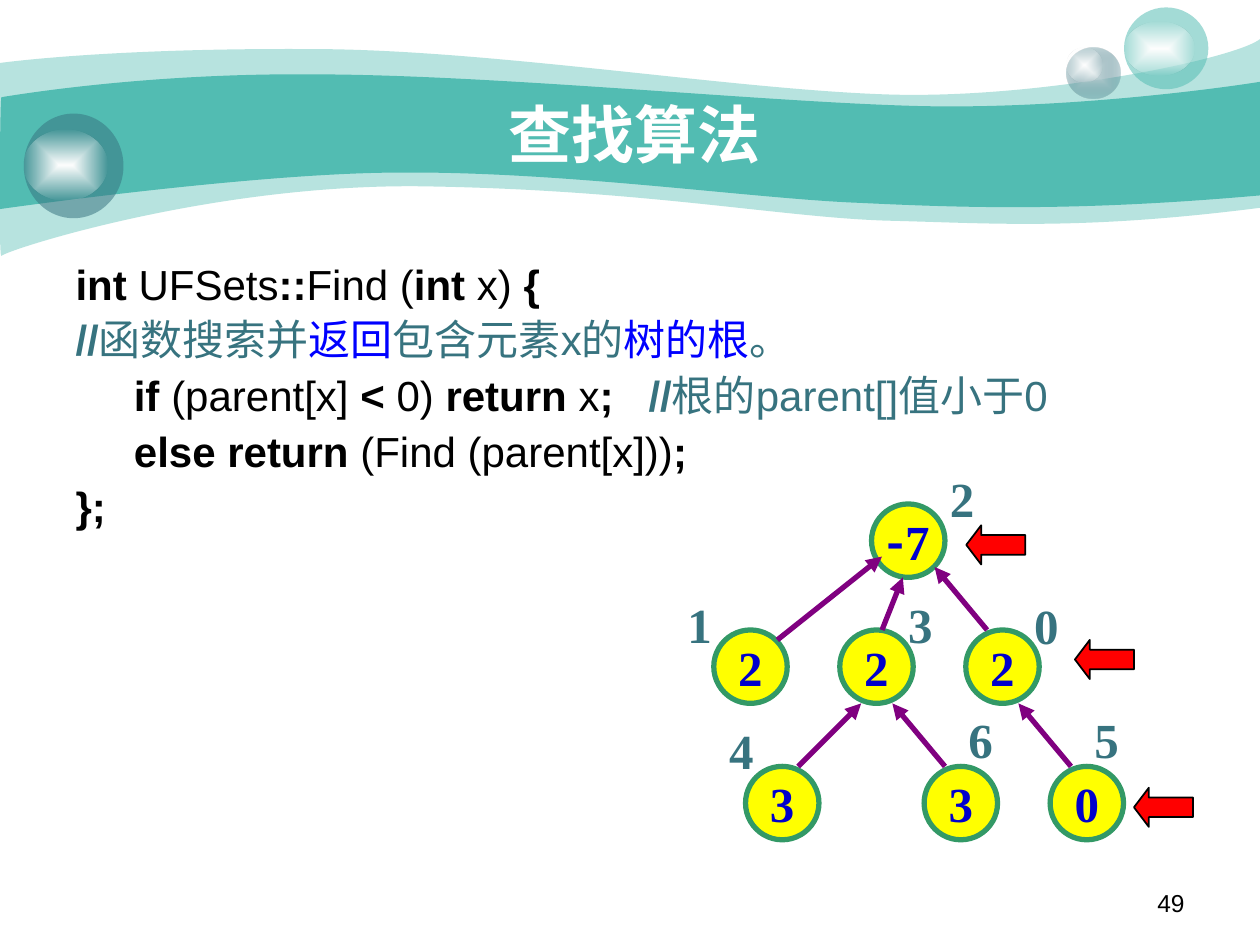
from lxml.etree import SubElement
from pptx import Presentation
from pptx.dml.color import RGBColor
from pptx.enum.shapes import MSO_CONNECTOR as Link, MSO_SHAPE as Kind
from pptx.enum.text import MSO_ANCHOR as Anchor, MSO_AUTO_SIZE as Fit, PP_ALIGN as Align
from pptx.oxml import parse_xml
from pptx.oxml.ns import nsdecls, qn
from pptx.util import Cm, Pt

rgb = RGBColor.from_string
HAN, SERIF, SANS = "Noto Sans CJK SC", "Times New Roman", "Arial"
TEAL, SLATE, BLUE, BLACK, WHITE = "52BCB2", "37737F", "0000FF", "000000", "FFFFFF"


def paint(shape, stops, edge=None, width=1):
    """Fill with one (colour, opacity) stop, or with a gradient from the centre of several."""
    shape.shadow.inherit = False
    shape.fill.solid()
    colors = [f'<a:srgbClr val="{c}"><a:alpha val="{a * 1000}"/></a:srgbClr>' for c, a in stops]
    if len(colors) == 1:
        xml = f'<a:solidFill {nsdecls("a")}>{colors[0]}</a:solidFill>'
    else:
        marks = "".join(f'<a:gs pos="{i * 100000}">{c}</a:gs>' for i, c in enumerate(colors))
        xml = (f'<a:gradFill {nsdecls("a")} rotWithShape="1"><a:gsLst>{marks}</a:gsLst>'
               '<a:path path="rect"><a:fillToRect l="50000" t="50000" r="50000" b="50000"/>'
               '</a:path></a:gradFill>')
    props = shape.element.spPr
    props.replace(props.find(qn("a:solidFill")), parse_xml(xml))
    if edge:
        shape.line.color.rgb = rgb(edge)
        shape.line.width = Pt(width)
    else:
        shape.line.fill.background()


def put(para, text, color, **fmt):
    """Add a run with the given font values."""
    run = para.add_run()
    run.text = text
    for key, val in fmt.items():
        setattr(run.font, key, val)
    run.font.color.rgb = rgb(color)
    SubElement(run.font._element, qn("a:ea")).set("typeface", HAN)


deck = Presentation()
deck.slide_width, deck.slide_height = Cm(25.4), Cm(19.05)
slide = deck.slides.add_slide(deck.slide_layouts[1])
shapes = slide.shapes

# Wavy ribbons: opacity, start, then segments of one point (line) or three (cubic curve)
ribbons = [
    (41, (0, 1.27), [
        [(0.61, 1.19), (2.72, 0.97), (6.27, 0.99)],
        [(9.8, 0.99), (14.61, 1.78), (17.75, 1.9)],
        [(20.88, 2.03), (24.89, 1.19), (25.4, 0.79)],
        [(25.4, 4.19)],
        [(21.79, 4.65), (19.99, 4.5), (17.91, 4.45)],
        [(15.8, 4.39), (13.08, 3.84), (8.71, 3.76)],
        [(4.37, 3.66), (0.1, 5.05), (0.03, 5.16)],
        [(-0.03, 5.28), (0, 1.91), (0, 1.27)]]),
    (100, (0.03, 1.96), [
        [(0.05, 1.96), (2.79, 1.47), (6.3, 1.5)],
        [(9.8, 1.5), (15.11, 2.03), (18.24, 2.13)],
        [(21.36, 2.24), (24.79, 1.75), (25.4, 1.65)],
        [(25.4, 3.94)],
        [(21.67, 4.27), (19.43, 4.19), (17.32, 4.09)],
        [(15.21, 4.01), (11.35, 3.45), (8.05, 3.48)],
        [(5.16, 3.48), (-0.05, 4.22), (-0.03, 4.22)],
        [(0, 4.22), (0, 1.96), (0.03, 1.96)]]),
]
for alpha, start, parts in ribbons:
    pen = shapes.build_freeform(*map(Cm, start))
    pen.add_line_segments([tuple(map(Cm, part[-1])) for part in parts], close=True)
    ribbon = pen.convert_to_shape()
    steps = list(ribbon.element.iter(qn("a:lnTo")))
    for step, part in zip(steps, parts):
        if len(part) == 3:
            step.tag = qn("a:cubicBezTo")
            for i, (x, y) in enumerate(part[:2]):
                spot = parse_xml(f'<a:pt {nsdecls("a")} x="{Cm(x) - ribbon.left}" '
                                 f'y="{Cm(y) - ribbon.top}"/>')
                step.insert(i, spot)
    paint(ribbon, [(TEAL, alpha)])

# Glass balls, each with a glow
glow = [(WHITE, 100), (WHITE, 0)]
balls = [
    ((21.51, 0.97, 1.07, 1.02), [("CCDBDE", 100), (SLATE, 31)], (21.51, 0.97, 0.71, 0.69)),
    ((22.66, 0.15, 1.7, 1.65), [(TEAL, 53)], (22.66, 0.43, 1.42, 1.09)),
    ((0.48, 2.29, 2.01, 2.11), [(SLATE, 53)], (0.48, 2.62, 1.68, 1.42)),
]
for ball, tint, shine in balls:
    group = shapes.add_group_shape()
    for box, stops in ((ball, tint), (shine, glow)):
        paint(group.shapes.add_shape(Kind.OVAL, *map(Cm, box)), stops)

# Title and code
title, body = shapes.title, slide.placeholders[1]
for holder, box in ((title, (2.54, 1.9, 20.52, 1.57)), (body, (1.27, 5.08, 22.86, 5.92))):
    shapes.element.append(holder.element)
    holder.left, holder.top, holder.width, holder.height = map(Cm, box)
    holder.text_frame.auto_size = Fit.NONE
title.text_frame.vertical_anchor = Anchor.MIDDLE
para = title.text_frame.paragraphs[0]
para.alignment = Align.CENTER
put(para, "查找算法", WHITE, size=Pt(36), bold=True, name=HAN)

code = [
    [("int ", BLACK, 1), ("UFSets", BLACK, 0), ("::", BLACK, 1), ("Find (", BLACK, 0),
     ("int ", BLACK, 1), ("x)", BLACK, 0), (" {", BLACK, 1)],
    [("//", SLATE, 1), ("函数搜索并", SLATE, 0), ("返回", BLUE, 0), ("包含元素x的", SLATE, 0),
     ("树的根", BLUE, 0), ("。", SLATE, 0)],
    [("     if ", BLACK, 1), ("(parent[x] ", BLACK, 0), ("<", BLACK, 1), (" 0)", BLACK, 0),
     (" return ", BLACK, 1), ("x", BLACK, 0), (";   ", BLACK, 1), ("//", SLATE, 1),
     ("根的parent[]值小于0", SLATE, 0)],
    [("     ", BLACK, 0), ("else return", BLACK, 1), (" (Find (parent[x]))", BLACK, 0),
     (";", BLACK, 1)],
    [("};", BLACK, 1)],
]
frame = body.text_frame
for i, line in enumerate(code):
    para = frame.add_paragraph() if i else frame.paragraphs[0]
    props = para._p.get_or_add_pPr()
    props.set("marL", str(Cm(0.95)))
    props.set("indent", str(Cm(-0.95)))
    SubElement(props, qn("a:buNone"))
    para.space_before = Pt(3 if i else 0)
    para.line_spacing = Pt(28.8)
    for text, color, bold in line:
        put(para, text, color, size=Pt(24), bold=bool(bold), name=SANS)

# Page number
frame = shapes.add_textbox(Cm(18.21), Cm(17.78), Cm(5.92), Cm(0.89)).text_frame
frame.word_wrap = True
frame.paragraphs[0].alignment = Align.RIGHT
put(frame.paragraphs[0], "49", BLACK, size=Pt(14), name=SANS)

# Tree: value, node corner, index, index corner
tree = shapes.add_group_shape().shapes
nodes = [
    ("-7", 17.57, 10.16, "2", 18.9, 9.32),
    ("2", 14.39, 12.7, "1", 13.61, 11.86),
    ("2", 16.93, 12.7, "3", 18.06, 11.86),
    ("2", 19.47, 12.7, "0", 20.6, 11.89),
    ("3", 15.03, 15.45, "4", 14.45, 14.4),
    ("3", 18.63, 15.45, "6", 19.27, 14.17),
    ("0", 21.17, 15.45, "5", 21.81, 14.17),
]
for value, x, y, index, left, top in nodes:
    node = tree.add_shape(Kind.OVAL, Cm(x), Cm(y), Cm(1.48), Cm(1.48))
    paint(node, [("FFFF00", 100)], "339966", 3)
    frame = node.text_frame
    frame.word_wrap = False
    frame.vertical_anchor = Anchor.MIDDLE
    para = frame.paragraphs[0]
    para.alignment = Align.CENTER
    for char in value:
        put(para, char, "0000CC", size=Pt(28), bold=True, name=HAN if char == "-" else SERIF)
    frame = tree.add_textbox(Cm(left), Cm(top), Cm(1), Cm(1.45)).text_frame
    frame.word_wrap = False
    frame.auto_size = Fit.SHAPE_TO_FIT_TEXT
    put(frame.paragraphs[0], index, SLATE, size=Pt(28), bold=True, name=SERIF)

links = [
    (15.67, 12.9, 17.78, 11.22), (17.78, 12.7, 18.2, 11.64), (19.9, 12.7, 18.84, 11.43),
    (16.09, 15.45, 17.36, 14.18), (19.05, 15.45, 17.99, 14.18), (21.59, 15.45, 20.53, 14.18),
]
for ends in links:
    link = tree.add_connector(Link.STRAIGHT, *map(Cm, ends))
    link.line.color.rgb = rgb("800080")
    link.line.width = Pt(3)
    SubElement(link.line._get_or_add_ln(), qn("a:tailEnd")).set("type", "triangle")
    SubElement(link.element.spPr, qn("a:effectLst"))

# Red pointers along the search path
for x, y in ((22.86, 15.88), (21.67, 12.9), (19.48, 10.59)):
    arrow = shapes.add_shape(Kind.LEFT_ARROW, Cm(x), Cm(y), Cm(1.19), Cm(0.79))
    arrow.adjustments[1] = 0.38
    paint(arrow, [("FF0000", 100)], BLACK)

deck.save("out.pptx")
